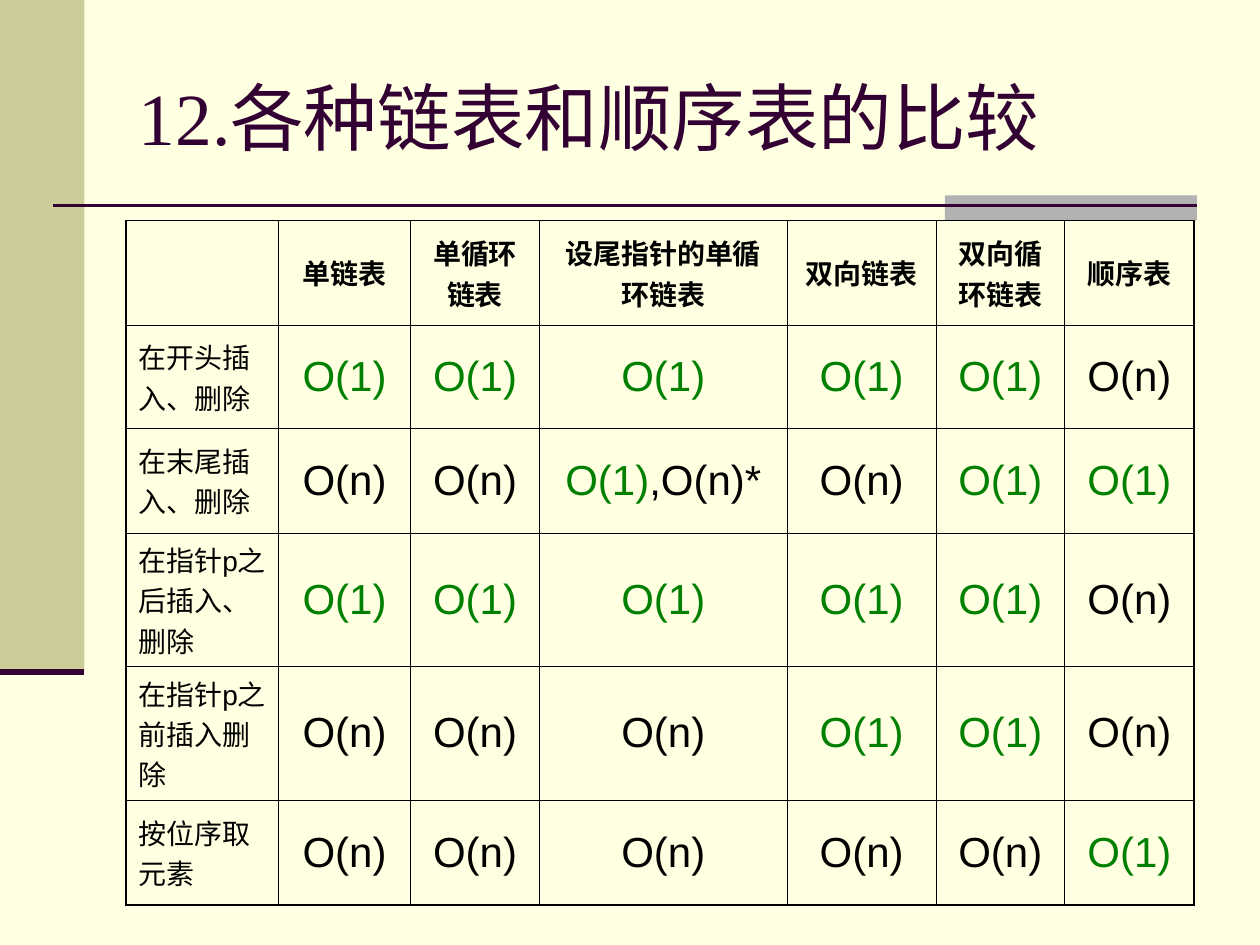
"""Build a slide comparing operation costs of linked lists and sequential lists."""
from lxml.etree import SubElement
from pptx import Presentation
from pptx.dml.color import RGBColor
from pptx.enum.shapes import MSO_CONNECTOR, MSO_SHAPE
from pptx.enum.text import MSO_ANCHOR, MSO_AUTO_SIZE, PP_ALIGN
from pptx.oxml import parse_xml
from pptx.oxml.ns import nsdecls, qn
from pptx.util import Inches, Pt

CREAM = RGBColor(0xFF, 0xFF, 0xE1)
KHAKI = RGBColor(0xCC, 0xCC, 0x99)
GRAY = RGBColor(0xB2, 0xB2, 0xB2)
PLUM = RGBColor(0x33, 0x00, 0x33)
GREEN = RGBColor(0x00, 0x80, 0x00)
BLACK = RGBColor(0x00, 0x00, 0x00)


def write(paragraph, text, size, color=BLACK, font="Arial", bold=False,
          align=PP_ALIGN.LEFT, before=0):
    paragraph.alignment = align
    paragraph.space_before = Pt(before)
    run = paragraph.add_run()
    run.text = text
    run.font.name = font
    run.font.size = Pt(size)
    run.font.bold = bold
    run.font.color.rgb = color


def set_borders(cell, **widths):
    properties = cell._tc.get_or_add_tcPr()
    for position, (side, width) in enumerate(widths.items()):
        properties.insert(position, parse_xml(
            f'<a:ln{side} {nsdecls("a")} w="{Pt(width)}"><a:solidFill>'
            f'<a:srgbClr val="{BLACK}"/></a:solidFill></a:ln{side}>'))


prs = Presentation()
prs.slide_width = Inches(10)
prs.slide_height = Inches(7.5)
slide = prs.slides.add_slide(prs.slide_layouts[5])
slide.background.fill.solid()
slide.background.fill.fore_color.rgb = CREAM

for left, top, width, height, color in [
    (0, 0, 0.67, 5.33, KHAKI),
    (7.5, 1.55, 2, 0.2, GRAY),
]:
    block = slide.shapes.add_shape(
        MSO_SHAPE.RECTANGLE, Inches(left), Inches(top), Inches(width), Inches(height))
    block.shadow.inherit = False
    block.fill.solid()
    block.fill.fore_color.rgb = color
    block.line.fill.background()

for start, end, y, weight in [(0.42, 9.5, 1.63, 1.5), (0, 0.67, 5.33, 3.5)]:
    rule = slide.shapes.add_connector(
        MSO_CONNECTOR.STRAIGHT, Inches(start), Inches(y), Inches(end), Inches(y))
    rule.line.color.rgb = PLUM
    rule.line.width = Pt(weight)
    SubElement(rule._element.spPr, qn("a:effectLst"))

title = slide.shapes.title
title.left, title.top = Inches(1), Inches(0.3)
title.width, title.height = Inches(8.5), Inches(1.25)
title.text_frame.auto_size = MSO_AUTO_SIZE.NONE
title.text_frame.word_wrap = True
title.text_frame.vertical_anchor = MSO_ANCHOR.MIDDLE
write(title.text_frame.paragraphs[0], "12.各种链表和顺序表的比较", 42,
      color=PLUM, font="Times New Roman")

list_kinds = ["", "单链表", "单循环链表", "设尾指针的单循环链表",
              "双向链表", "双向循环链表", "顺序表"]
C, N = "O(1)", "O(n)"
operations = [
    ["在开头插入、删除", C, C, C, C, C, N],
    ["在末尾插入、删除", N, N, (C, ",O(n)*"), N, C, C],
    ["在指针p之后插入、删除", C, C, C, C, C, N],
    ["在指针p之前插入删除", N, N, N, C, C, N],
    ["按位序取元素", N, N, N, N, N, C],
]
rows = [list_kinds] + operations
column_widths = [1.21, 1.05, 1.02, 1.97, 1.18, 1.02, 1.03]
row_heights = [0.83, 0.82, 0.83, 0.9, 0.9, 0.83]

comparison = slide.shapes.add_table(
    len(rows), len(list_kinds), Inches(1), Inches(1.75), Inches(8.5), Inches(5.11)).table
comparison.first_row = False
comparison.horz_banding = False
for column, width in zip(comparison.columns, column_widths):
    column.width = Inches(width)
for row, height in zip(comparison.rows, row_heights):
    row.height = Inches(height)

THIN, THICK = 0.45, 1.08
last_row, last_column = len(rows) - 1, len(list_kinds) - 1
for r, entries in enumerate(rows):
    for c, entry in enumerate(entries):
        cell = comparison.cell(r, c)
        cell.fill.background()
        cell.vertical_anchor = MSO_ANCHOR.MIDDLE
        set_borders(cell,
                    L=THICK if c == 0 else THIN,
                    R=THICK if c == last_column else THIN,
                    T=THICK if r == 0 else THIN,
                    B=THICK if r == last_row else THIN)
        paragraph = cell.text_frame.paragraphs[0]
        if r == 0 and entry:
            write(paragraph, entry, 16, bold=True, align=PP_ALIGN.CENTER, before=4)
        elif r > 0 and c == 0:
            write(paragraph, entry, 16, before=4)
        elif r > 0:
            for cost in entry if isinstance(entry, tuple) else (entry,):
                write(paragraph, cost, 24, color=GREEN if cost == C else BLACK,
                      align=PP_ALIGN.CENTER, before=6)

prs.save("out.pptx")
